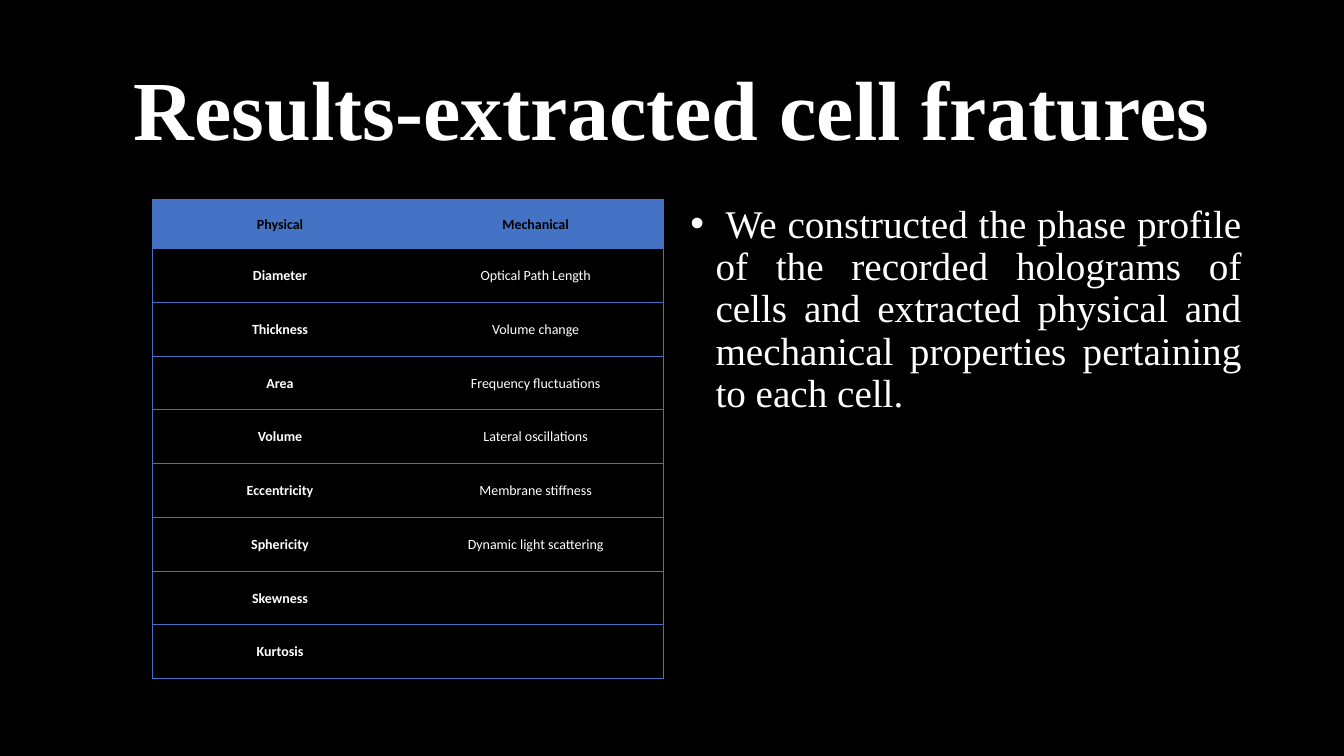
"""Build the slide on extracted cell features."""
from lxml.etree import SubElement
from pptx import Presentation
from pptx.dml.color import RGBColor
from pptx.enum.text import MSO_ANCHOR as Anchor, PP_ALIGN as Align
from pptx.oxml.ns import qn
from pptx.util import Pt

COLORS = {"background": "000000", "light": "FFFFFF", "dark": "000000", "accent": "4472C4"}
SERIF, SANS = "Times New Roman", "Calibri"
FEATURES = [
    ("Physical", "Mechanical"),
    ("Diameter", "Optical Path Length"),
    ("Thickness", "Volume change"),
    ("Area", "Frequency fluctuations"),
    ("Volume", "Lateral oscillations"),
    ("Eccentricity", "Membrane stiffness"),
    ("Sphericity", "Dynamic light scattering"),
    ("Skewness", ""),
    ("Kurtosis", ""),
]
FINDING = (" We constructed the phase profile of the recorded holograms of cells and "
           "extracted physical and mechanical properties pertaining to each cell.")


def rgb(name):
    """Return the named colour."""
    return RGBColor.from_string(COLORS[name])


def add_run(paragraph, text, font, size, color, bold=False):
    """Add one formatted run to a paragraph."""
    run = paragraph.add_run()
    run.text = text
    run.font.name, run.font.size, run.font.bold = font, Pt(size), bold
    run.font.color.rgb = rgb(color)


def add_text(slide, box, text, size, align, anchor=Anchor.TOP, bold=False):
    """Add a wrapped text box and return its paragraph."""
    frame = slide.shapes.add_textbox(*map(Pt, box)).text_frame
    frame.word_wrap, frame.vertical_anchor = True, anchor
    paragraph = frame.paragraphs[0]
    paragraph.alignment, paragraph.line_spacing = align, 0.9
    add_run(paragraph, text, SERIF, size, "light", bold)
    return paragraph


def add_bullet(paragraph, indent):
    """Give a paragraph a round bullet with a hanging indent."""
    properties = paragraph._p.get_or_add_pPr()
    properties.set("marL", str(Pt(indent)))
    properties.set("indent", str(-Pt(indent)))
    SubElement(properties, qn("a:buFont"), typeface="Arial")
    SubElement(properties, qn("a:buChar"), char="•")


def set_borders(cell, visible):
    """Draw the visible sides of a cell and clear the others."""
    properties = cell._tc.get_or_add_tcPr()
    for side in "LRTB":
        border = SubElement(properties, qn(f"a:ln{side}"), w=str(Pt(0.5)))
        if side in visible:
            fill = SubElement(border, qn("a:solidFill"))
            SubElement(fill, qn("a:srgbClr"), val=COLORS["accent"])
        else:
            SubElement(border, qn("a:noFill"))


def fill_cell(cell, text, is_header, is_first):
    """Style one feature cell and write its text."""
    set_borders(cell, "LTB" if is_first else "RTB")
    if is_header:
        cell.fill.solid()
        cell.fill.fore_color.rgb = rgb("accent")
    else:
        cell.fill.background()
    cell.margin_left = cell.margin_right = cell.margin_top = cell.margin_bottom = 0
    cell.vertical_anchor = Anchor.MIDDLE
    if text:
        paragraph = cell.text_frame.paragraphs[0]
        paragraph.alignment, paragraph.line_spacing = Align.CENTER, Pt(13)
        add_run(paragraph, text, SANS, 10, "dark" if is_header else "light",
                is_header or is_first)


def add_features(slide, left, top, column_width, header_height, row_height):
    """Add the table of physical and mechanical features."""
    height = header_height + row_height * (len(FEATURES) - 1)
    table = slide.shapes.add_table(len(FEATURES), 2, Pt(left), Pt(top),
                                   Pt(2 * column_width), Pt(height)).table
    table.first_row = table.horz_banding = False
    for column in table.columns:
        column.width = Pt(column_width)
    for index, texts in enumerate(FEATURES):
        table.rows[index].height = Pt(row_height if index else header_height)
        for position, text in enumerate(texts):
            fill_cell(table.cell(index, position), text, index == 0, position == 0)


def main():
    """Build and save the slide."""
    deck = Presentation()
    deck.slide_width, deck.slide_height = Pt(960), Pt(540)
    slide = deck.slides.add_slide(deck.slide_layouts[6])
    slide.background.fill.solid()
    slide.background.fill.fore_color.rgb = rgb("background")
    add_text(slide, (66, 28.8, 828, 104.4), "Results-extracted cell fratures", 60,
             Align.CENTER, Anchor.MIDDLE, bold=True)
    add_features(slide, 108.7, 142.2, 182.6, 35.3, 38.4)
    finding = add_text(slide, (486, 142.5, 408, 342.6), FINDING, 28, Align.JUSTIFY)
    add_bullet(finding, 18)
    deck.save("out.pptx")


if __name__ == "__main__":
    main()
